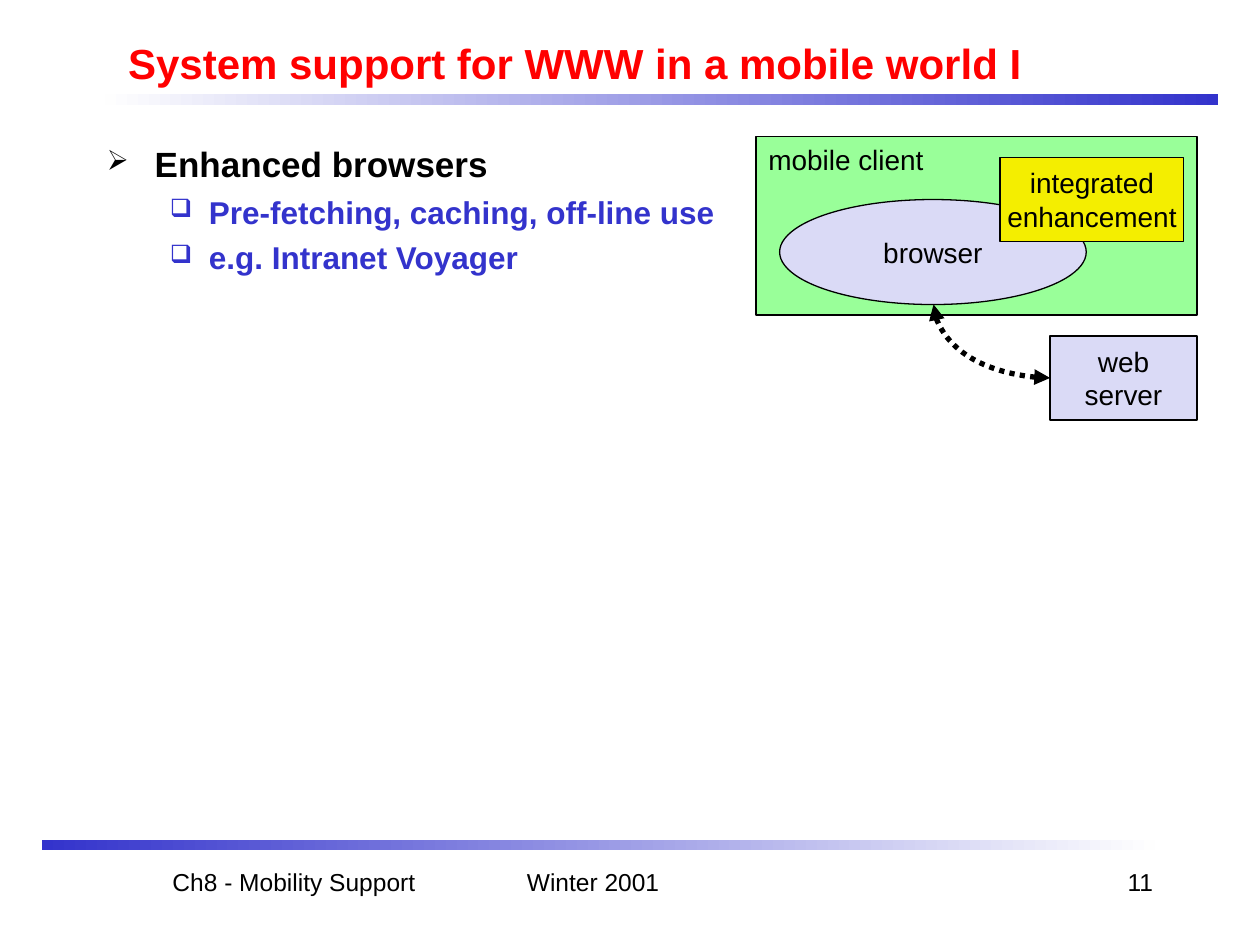
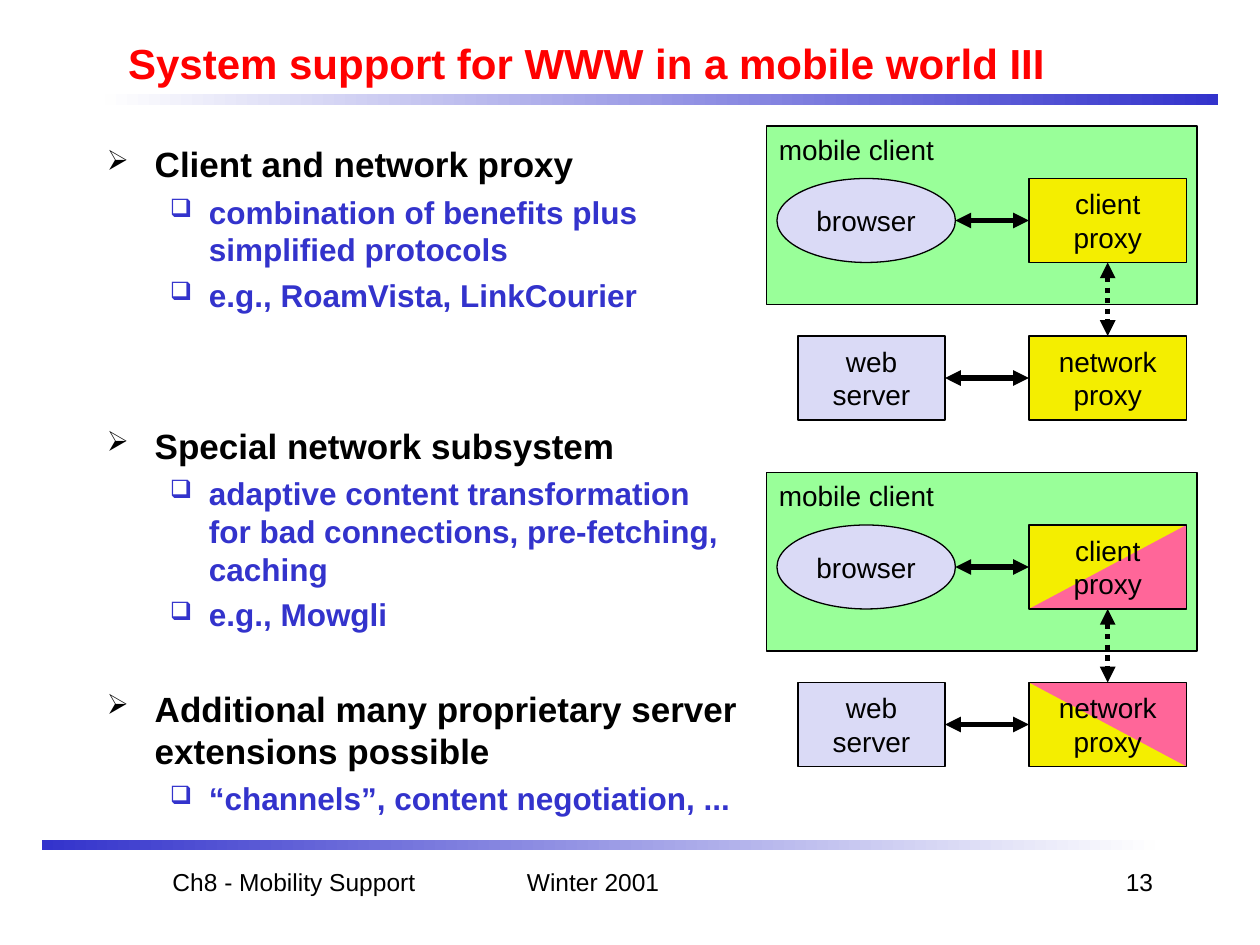
from lxml.etree import SubElement
from pptx import Presentation
from pptx.dml.color import RGBColor
from pptx.enum.dml import MSO_LINE
from pptx.enum.shapes import MSO_CONNECTOR, MSO_SHAPE
from pptx.enum.text import MSO_ANCHOR, MSO_AUTO_SIZE, PP_ALIGN
from pptx.oxml.ns import qn
from pptx.util import Inches, Pt

# Content: each point is level, text, space before in points
SLIDES = [
    {"title": "System support for WWW in a mobile world I", "page": "11",
     "points": [
         (0, "Enhanced browsers", 0),
         (1, "Pre-fetching, caching, off-line use", 4.5),
         (1, "e.g. Intranet Voyager", 4.5)]},
    {"title": "System support for WWW in a mobile world III", "page": "13",
     "points": [
         (0, "Client and network proxy", 0),
         (1, "combination of benefits plus\vsimplified protocols", 4.5),
         (1, "e.g., RoamVista, LinkCourier", 4.5),
         (0, "Special network subsystem", 63),
         (1, "adaptive content transformation\vfor bad connections, "
             "pre-fetching,\vcaching", 4.5),
         (1, "e.g., Mowgli", 4.5),
         (0, "Additional many proprietary server\vextensions possible", 31),
         (1, "“channels”, content negotiation, ...", 4.5)]},
]

# Shared look; lengths are in grid units of a twelfth of an inch
GREEN, LILAC, YELLOW, PINK = "99FF99", "DADAF6", "F4EE00", "FF6699"
BLACK, BLUE, RED, PALE = "000000", "3333CC", "FF0000", "FEFEFE"
TITLE = (11, 3, 102, 6)
BODY = (9, 13, 102, 67)
BANDS = [((10, 9, 106, 1), (BLUE, PALE)), ((4, 80, 106, 1), (PALE, BLUE))]
FOOT = [((9, 82, 38, 6), "Ch8 - Mobility Support", PP_ALIGN.CENTER),
        ((49, 82, 25, 6), "Winter 2001", PP_ALIGN.LEFT),
        ((86, 82, 25, 6), None, PP_ALIGN.RIGHT)]
LEVELS = [  # bullet, size, colour, margin and hang in inches
    {"mark": "➢", "size": 20, "color": BLACK, "left": 0.38, "hang": 0.38},
    {"mark": "❑", "size": 18, "color": BLUE, "left": 0.81, "hang": 0.31},
]
RECT, OVAL = MSO_SHAPE.RECTANGLE, MSO_SHAPE.OVAL


def unit(n):
    return Inches(n / 12)


def rgb(code):
    return RGBColor.from_string(code)


def place(part, at):
    for name, n in zip(("left", "top", "width", "height"), at):
        setattr(part, name, unit(n))


def style(para, size, color=BLACK, bold=False):
    look = {"name": "Arial", "size": Pt(size), "bold": bold}
    for run in para.runs:
        for name, value in look.items():
            setattr(run.font, name, value)
        run.font.color.rgb = rgb(color)


def write(frame, text, size, align=PP_ALIGN.LEFT, color=BLACK, bold=False):
    frame.text = text
    for para in frame.paragraphs:
        para.alignment = align
        style(para, size, color, bold)


def box(slide, kind, at, fill=None, text="", line=True, head=False):
    """Draw a filled shape; head puts its label at the top left."""
    part = slide.shapes.add_shape(kind, *map(unit, at))
    part.shadow.inherit = False
    if fill:
        part.fill.solid()
        part.fill.fore_color.rgb = rgb(fill)
    else:
        part.fill.background()
    if line:
        part.line.color.rgb = rgb(BLACK)
        part.line.width = Pt(0.75)
    else:
        part.line.fill.background()
    if text:
        frame = part.text_frame
        frame.word_wrap = False
        frame.vertical_anchor = MSO_ANCHOR.TOP if head else MSO_ANCHOR.MIDDLE
        write(frame, text, 16, PP_ALIGN.LEFT if head else PP_ALIGN.CENTER)
    return part


def arrow(slide, ends, dots=False, kind=MSO_CONNECTOR.STRAIGHT):
    """Draw a line with a head at both ends."""
    link = slide.shapes.add_connector(kind, *map(unit, ends))
    link.line.color.rgb = rgb(BLACK)
    link.line.width = Pt(3)
    if dots:
        link.line.dash_style = MSO_LINE.ROUND_DOT
    props = link.element.spPr
    for tag in ("headEnd", "tailEnd"):
        SubElement(props.find(qn("a:ln")), qn("a:" + tag), type="triangle")
    SubElement(props, qn("a:effectLst"))
    return link


def bands(slide, layout):
    """Build the two fading bands and move them to the layout."""
    for at, colors in BANDS:
        band = box(slide, RECT, at, line=False)
        band.fill.gradient()
        band.fill.gradient_angle = 180
        for stop, color in zip(band.fill.gradient_stops, colors):
            stop.color.rgb = rgb(color)
        for stop, share in zip(band.fill.gradient_stops, (0, 1)):
            stop.position = share
        layout.shapes.element.append(band.element)


def bullets(slide, points):
    frame = slide.shapes.add_textbox(*map(unit, BODY)).text_frame
    frame.word_wrap = True
    for i, (level, text, gap) in enumerate(points):
        para = frame.add_paragraph() if i else frame.paragraphs[0]
        look = LEVELS[level]
        para.text, para.level, para.space_before = text, level, Pt(gap)
        props = para._p.get_or_add_pPr()
        props.set("marL", str(Inches(look["left"])))
        props.set("indent", str(-Inches(look["hang"])))
        tint = SubElement(props, qn("a:buClr"))
        SubElement(tint, qn("a:srgbClr"), val=look["color"])
        SubElement(props, qn("a:buSzPct"), val="80000")
        SubElement(props, qn("a:buChar"), char=look["mark"])
        style(para, look["size"], look["color"], True)


def base(deck, layout, data):
    """Start a slide with its title, points and footer."""
    slide = deck.slides.add_slide(layout)
    title = slide.shapes.title
    place(title, TITLE)
    frame = title.text_frame
    frame.auto_size = MSO_AUTO_SIZE.NONE
    frame.vertical_anchor = MSO_ANCHOR.MIDDLE
    write(frame, data["title"], 24, color=RED, bold=True)
    bullets(slide, data["points"])
    for at, text, align in FOOT:
        foot = slide.shapes.add_textbox(*map(unit, at)).text_frame
        foot.word_wrap = True
        write(foot, text or data["page"], 14, align)
    return slide


def direct(slide):
    """Enhanced browser that talks straight to the web server."""
    box(slide, RECT, (72, 13, 42, 17), GREEN, "mobile client", head=True)
    box(slide, OVAL, (74.25, 19, 29.2, 10), LILAC, "browser")
    box(slide, RECT, (95.25, 15, 17.5, 8), YELLOW, "integrated\nenhancement")
    box(slide, RECT, (100, 32, 14, 8), LILAC, "web\nserver")
    # Quarter curve from the browser's foot to the server's side
    x1, y1, x2, y2 = 88.9, 29, 100, 36
    mid, row = (x1 + x2) / 2, (y1 + y2) / 2
    w, h = (y2 - y1) / 2, (x2 - x1) / 2  # half sides before the turn
    link = arrow(slide, (mid - w, row - h, mid + w, row + h), True,
                 MSO_CONNECTOR.CURVE)
    props = link.element.spPr
    props.find(qn("a:prstGeom")).set("prst", "curvedConnector2")
    turn = props.find(qn("a:xfrm"))
    turn.set("rot", "16200000")
    turn.set("flipH", "1")


def proxy(slide, at, text, flips):
    """Proxy box; flips name the mirrored axes of its pink half."""
    if flips:
        box(slide, RECT, at, YELLOW, line=False)
        half = box(slide, MSO_SHAPE.RIGHT_TRIANGLE, at, PINK, line=False)
        for axis in flips:
            half.element.spPr.find(qn("a:xfrm")).set("flip" + axis, "1")
    box(slide, RECT, at, None if flips else YELLOW, text)


def chain(slide, top, split):
    """Browser, client proxy, network proxy and web server."""
    high, low = top + 5, top + 20
    box(slide, RECT, (73, top, 41, 17), GREEN, "mobile client", head=True)
    box(slide, OVAL, (74, high, 17, 8), LILAC, "browser")
    box(slide, RECT, (76, low, 14, 8), LILAC, "web\nserver")
    proxy(slide, (98, high, 15, 8), "client\nproxy", "H" if split else "")
    proxy(slide, (98, low, 15, 8), "network\nproxy", "HV" if split else "")
    arrow(slide, (105.5, high + 8, 105.5, low), dots=True)
    arrow(slide, (91, high + 4, 98, high + 4))
    arrow(slide, (90, low + 4, 98, low + 4))


def main():
    deck = Presentation()
    deck.slide_width, deck.slide_height = Inches(10), Inches(7.5)
    layout = deck.slide_layouts[5]
    first, second = [base(deck, layout, data) for data in SLIDES]
    bands(first, layout)
    direct(first)
    for top, split in ((12, False), (45, True)):
        chain(second, top, split)
    deck.save("out.pptx")


if __name__ == "__main__":
    main()
